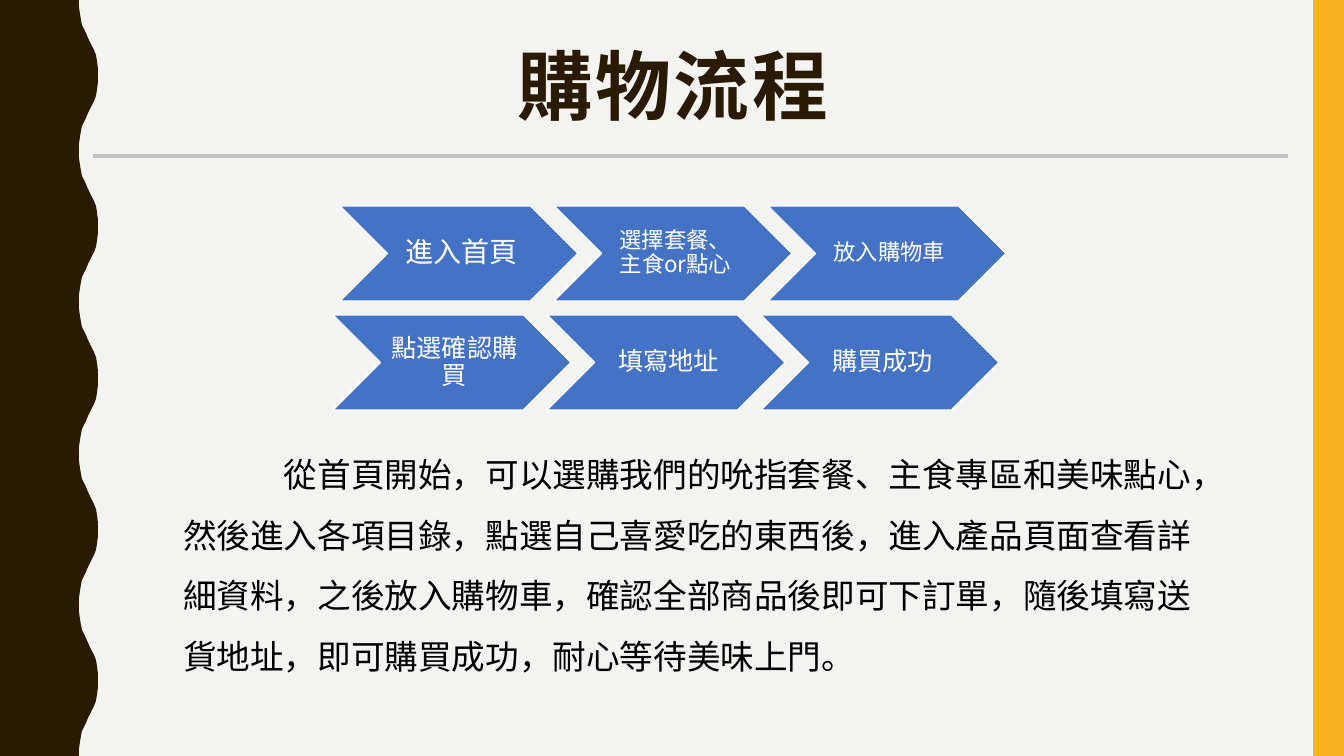
from lxml import etree
from pptx import Presentation, util as u
from pptx.dml.color import RGBColor
from pptx.enum import shapes, text
from pptx.oxml.ns import qn

TITLE = "購物流程"
STEP_ROWS = [  # left, top, [(label, point size)]
    (340, 206, [("進入首頁", 20), ("選擇套餐、主食or點心", 16), ("放入購物車", 16)]),
    (333, 315, [("點選確認購買", 18), ("填寫地址", 18), ("購買成功", 18)]),
]
DESCRIPTION = (
    "從首頁開始，可以選購我們的吮指套餐、主食專區和美味點心，"
    "然後進入各項目錄，點選自己喜愛吃的東西後，進入產品頁面查看詳細資料，"
    "之後放入購物車，確認全部商品後即可下訂單，隨後填寫送貨地址，"
    "即可購買成功，耐心等待美味上門。"
)
FONT = "Noto Sans CJK SC"
COLORS = {"paper": "F3F3F2", "brown": "2A1A00", "yellow": "F8B323", "rule": "BFBFBF",
          "step": "4472C4", "white": "FFFFFF", "black": "000000"}
WIDTH, HEIGHT = 1344, 756
STEP_WIDTH, STEP_HEIGHT, STEP_PITCH = 238, 95, 214
WAVES = 5
# Edge of the wave from trough to crest
WAVE_RISE = [(79, 0), (79, 7), (80, 14), (81, 20), (82, 25), (84, 29), (86, 33), (88, 38),
             (90, 42), (92, 46), (94, 50), (96, 55), (97, 61), (98, 69), (98, 76)]
EMU_PER_PX = 914400 / 100.8


def px(*lengths):
    return [u.Emu(round(length * EMU_PER_PX)) for length in lengths]


def color(name):
    return RGBColor.from_string(COLORS[name])


def paint(shape, fill, line=None):
    shape.shadow.inherit = False
    shape.fill.solid()
    shape.fill.fore_color.rgb = color(fill)
    if line:
        shape.line.color.rgb = color(line)
        shape.line.width = u.Pt(1)
    else:
        shape.line.fill.background()


def write(shape, words, size, ink, align, spacing, anchor, bold=False):
    frame = shape.text_frame
    frame.word_wrap = True
    frame.auto_size = text.MSO_AUTO_SIZE.NONE
    frame.vertical_anchor = anchor
    frame.text = words
    paragraph = frame.paragraphs[0]
    paragraph.alignment = align
    paragraph.line_spacing = spacing
    paragraph.space_before = u.Pt(0)
    properties = paragraph._p.get_or_add_pPr()
    etree.SubElement(properties, qn("a:buNone"))
    font = paragraph.font
    font.name, font.size, font.bold = FONT, u.Pt(size), bold
    font.color.rgb = color(ink)
    defaults = properties.find(qn("a:defRPr"))
    latin = defaults.find(qn("a:latin"))
    latin.addnext(etree.Element(qn("a:ea"), typeface=FONT))
    return properties, defaults


def place(shape, *box):
    shape.left, shape.top, shape.width, shape.height = px(*box)


def add_wave(slide):
    period = HEIGHT / WAVES
    fall = [(x, period - y) for x, y in reversed(WAVE_RISE)]
    edge = [(x, y + period * wave) for wave in range(WAVES) for x, y in WAVE_RISE + fall]
    builder = slide.shapes.build_freeform(0, 0, scale=EMU_PER_PX)
    builder.add_line_segments(edge + [(0, HEIGHT)], close=True)
    paint(builder.convert_to_shape(), "brown")


def add_steps(slide):
    for left, top, steps in STEP_ROWS:
        row = slide.shapes.add_group_shape().shapes
        for column, (label, size) in enumerate(steps):
            box = px(left + column * STEP_PITCH, top, STEP_WIDTH, STEP_HEIGHT)
            step = row.add_shape(shapes.MSO_SHAPE.CHEVRON, *box)
            paint(step, "step", "white")
            frame = step.text_frame
            (frame.margin_left, frame.margin_top,
             frame.margin_right, frame.margin_bottom) = px(8, 3, 3, 3)
            write(step, label, size, "white", text.PP_ALIGN.CENTER, 0.9, text.MSO_ANCHOR.MIDDLE)


def main():
    deck = Presentation()
    deck.slide_width, deck.slide_height = px(WIDTH, HEIGHT)
    slide = deck.slides.add_slide(deck.slide_layouts[1])
    slide.background.fill.solid()
    slide.background.fill.fore_color.rgb = color("paper")

    add_wave(slide)
    side_bar = slide.shapes.add_shape(shapes.MSO_SHAPE.RECTANGLE, *px(1313, 0, 31, HEIGHT))
    paint(side_bar, "yellow")

    title, description = slide.placeholders
    place(title, 93, 44, 1159, 111)
    _, title_defaults = write(title, TITLE, 54, "brown", text.PP_ALIGN.CENTER, 0.9,
                              text.MSO_ANCHOR.TOP, bold=True)
    title_defaults.set("spc", "200")

    rule = slide.shapes.add_connector(shapes.MSO_CONNECTOR.STRAIGHT, *px(93, 156, 1288, 156))
    rule.line.color.rgb = color("rule")
    rule.line.width = u.Pt(2.25)
    etree.SubElement(rule._element.spPr, qn("a:effectLst"))

    add_steps(slide)

    place(description, 173, 429, 1035, 305)
    layout, _ = write(description, DESCRIPTION, 24, "black", text.PP_ALIGN.LEFT, 1.5,
                      text.MSO_ANCHOR.TOP)
    layout.set("marL", "0")
    layout.set("indent", str(u.Inches(1)))

    deck.save("out.pptx")


if __name__ == "__main__":
    main()
